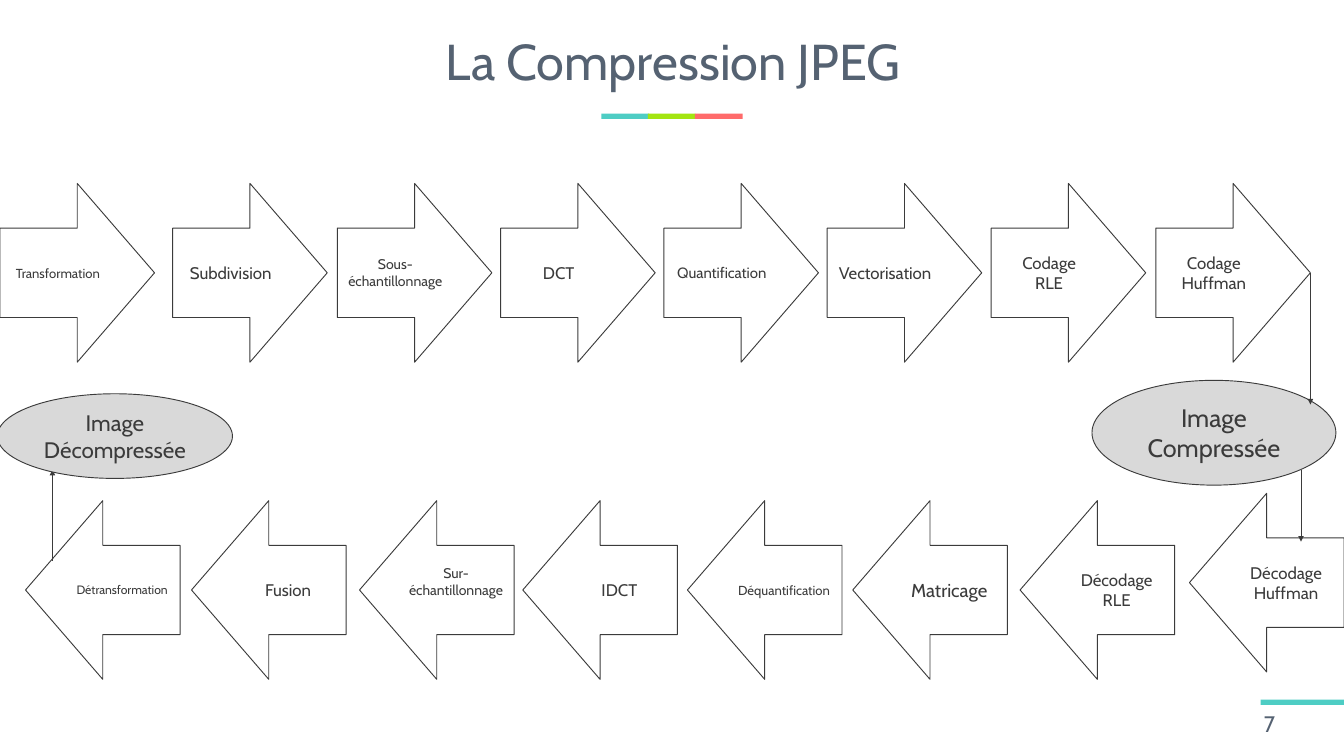
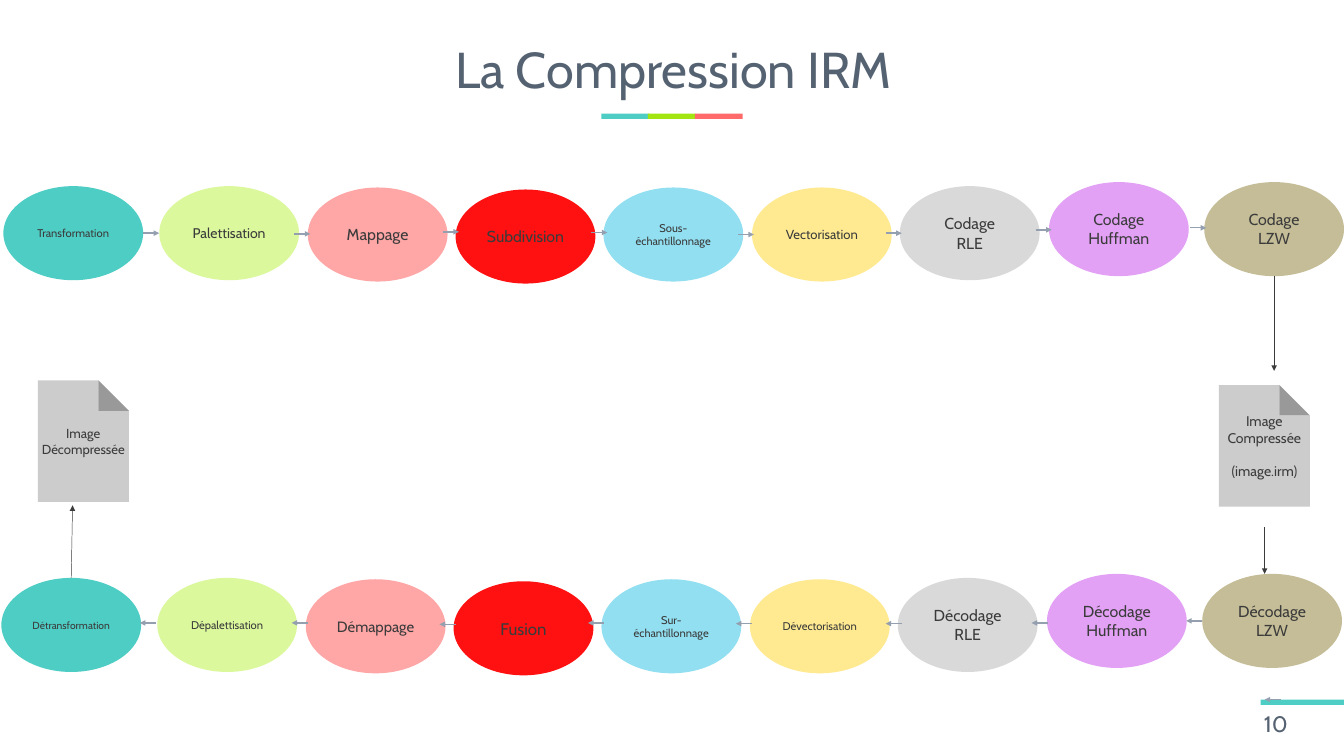
from lxml import etree
from pptx import Presentation
from pptx.dml.color import RGBColor
from pptx.enum.shapes import MSO_CONNECTOR, MSO_SHAPE
from pptx.enum.text import MSO_ANCHOR, MSO_AUTO_SIZE, PP_ALIGN
from pptx.oxml.ns import qn
from pptx.util import Inches, Pt

RECT = MSO_SHAPE.RECTANGLE
OVAL = MSO_SHAPE.OVAL
RIGHT_ARROW = MSO_SHAPE.RIGHT_ARROW
LEFT_ARROW = MSO_SHAPE.LEFT_ARROW
DOCUMENT = MSO_SHAPE.ACTION_BUTTON_DOCUMENT
STRAIGHT = MSO_CONNECTOR.STRAIGHT
MIDDLE = MSO_ANCHOR.MIDDLE
NO_FIT = MSO_AUTO_SIZE.NONE
LEFT, CENTER = PP_ALIGN.LEFT, PP_ALIGN.CENTER

WHITE = RGBColor(0xFF, 0xFF, 0xFF)
INK = RGBColor(0x3B, 0x3B, 0x3B)
SLATE = RGBColor(0x55, 0x62, 0x72)
STEEL = RGBColor(0x94, 0xA0, 0xAF)
TEAL = RGBColor(0x4E, 0xCD, 0xC4)
GREEN = RGBColor(0xA3, 0xE5, 0x11)
CORAL = RGBColor(0xFF, 0x6B, 0x6B)
LIME = RGBColor(0xDB, 0xF8, 0x9D)
PINK = RGBColor(0xFF, 0xA6, 0xA6)
RED = RGBColor(0xFF, 0x11, 0x11)
SKY = RGBColor(0x91, 0xDF, 0xF1)
YELLOW = RGBColor(0xFF, 0xEA, 0x91)
GREY = RGBColor(0xD9, 0xD9, 0xD9)
VIOLET = RGBColor(0xE3, 0xA1, 0xF5)
KHAKI = RGBColor(0xC4, 0xBD, 0x97)

BARS = [(8.95, 1.69, 0.71, TEAL), (9.64, 1.69, 0.71, GREEN),
        (10.34, 1.69, 0.71, CORAL), (18.76, 10.41, 1.24, TEAL)]

JPEG_ENCODING = [
    (0, "Transformation", 14), (2.57, "Subdivision", 18),
    (5.02, "Sous-échantillonnage", 15), (7.45, "DCT", 18),
    (9.88, "Quantification", 16), (12.31, "Vectorisation", 18),
    (14.75, "Codage\nRLE", 18), (17.2, "Codage\nHuffman", 18)]
JPEG_DECODING = [
    (0.38, 7.45, "Détransformation", 13), (2.85, 7.45, "Fusion", 18),
    (5.35, 7.45, "Sur-échantillonnage", 15), (7.78, 7.45, "IDCT", 18),
    (10.23, 7.45, "Déquantification", 14), (12.69, 7.45, "Matricage", 20),
    (15.18, 7.45, "Décodage RLE", 18), (17.7, 7.34, "Décodage Huffman", 18)]

IRM_STAGES = [
    (0.05, 2.77, TEAL, "Transformation", 12, "Détransformation", 11),
    (2.37, 2.77, LIME, "Palettisation", 15, "Dépalettisation", 12),
    (4.58, 2.79, PINK, "Mappage", 17, "Démappage", 16),
    (6.78, 2.82, RED, "Subdivision", 17, "Fusion", 18),
    (8.98, 2.79, SKY, "Sous-échantillonnage", 12, "Sur-échantillonnage", 12),
    (11.19, 2.79, YELLOW, "Vectorisation", 14, "Dévectorisation", 12),
    (13.39, 2.77, GREY, "Codage\nRLE", 17, "Décodage RLE", 17),
    (15.61, 2.71, VIOLET, "Codage\nHuffman", 17, "Décodage Huffman", 17),
    (17.92, 2.71, KHAKI, "Codage\nLZW", 17, "Décodage LZW", 17)]
IRM_FORWARD = [(2.13, 3.47), (4.38, 3.48), (6.59, 3.45), (8.8, 3.46),
               (10.98, 3.49), (13.18, 3.47), (15.41, 3.42), (17.71, 3.39)]
IRM_BACKWARD = [(2.32, 9.27), (4.58, 9.27), (6.78, 9.29), (8.99, 9.27),
                (11.19, 9.28), (13.42, 9.28), (15.59, 9.27), (17.89, 9.24),
                (19.06, 10.41)]
ROW_SHIFT = (-0.03, 5.83)
ARROW_SIZE = (2.3, 2.66)
OVAL_SIZE = (2.08, 1.4)
STEP = 0.24


class Deck:
    font = "Cabin"
    frame = {"word_wrap": True, "auto_size": NO_FIT, "vertical_anchor": MIDDLE}

    def __init__(self):
        self.prs = Presentation()
        self.prs.slide_width, self.prs.slide_height = Inches(20), Inches(11.25)
        self.s = None

    def new_slide(self, title, title_top, number):
        self.s = self.prs.slides.add_slide(self.prs.slide_layouts[5])
        for x, y, w, color in BARS:
            self.shape(RECT, (x, y, w, 0.08), color)
        sp = self.s.shapes.title
        box = {"left": 0.54, "top": title_top, "width": 18.96, "height": 1.4}
        for name, value in box.items():
            setattr(sp, name, Inches(value))
        self.set_text(sp.text_frame, title, 54, SLATE, CENTER)
        sp.text_frame.paragraphs[0].line_spacing = 0.9
        sp = self.s.shapes.add_textbox(*map(Inches, (18.71, 10.5, 1.29, 0.53)))
        self.set_text(sp.text_frame, number, 24, SLATE, LEFT)

    def set_text(self, tf, text, size, color, align):
        tf.text = text
        for name, value in self.frame.items():
            setattr(tf, name, value)
        style = {"name": self.font, "size": Pt(size)}
        for p in tf.paragraphs:
            p.alignment = align
            for r in p.runs:
                for name, value in style.items():
                    setattr(r.font, name, value)
                r.font.color.rgb = color

    def shape(self, kind, box, fill, text="", size=18, outline=False):
        sp = self.s.shapes.add_shape(kind, *map(Inches, box))
        sp.shadow.inherit = False
        sp.fill.solid()
        sp.fill.fore_color.rgb = fill
        if outline:
            sp.line.color.rgb = INK
            sp.line.width = Pt(1)
        else:
            sp.line.fill.background()
        if text:
            self.set_text(sp.text_frame, text, size, INK, CENTER)
        return sp

    def arrow(self, start, end, color=INK, width=0.5):
        cx = self.s.shapes.add_connector(STRAIGHT, *map(Inches, start + end))
        cx.line.color.rgb = color
        cx.line.width = Pt(width)
        ln = cx._element.spPr.find(qn("a:ln"))
        etree.SubElement(ln, qn("a:tailEnd"), type="triangle")
        etree.SubElement(cx._element.spPr, qn("a:effectLst"))
        return cx


def build_jpeg(deck):
    deck.new_slide("La Compression JPEG", 0.25, "7")
    for x, text, size in JPEG_ENCODING:
        deck.shape(RIGHT_ARROW, (x, 2.73, *ARROW_SIZE), WHITE, text, size, True)
    for x, y, text, size in JPEG_DECODING:
        sp = deck.shape(LEFT_ARROW, (x, y, *ARROW_SIZE), WHITE, text, size, True)
        if text.startswith("Sur-"):
            sp.text_frame.margin_bottom = Inches(0.3)
    deck.shape(OVAL, (16.25, 5.66, 3.63, 1.56), GREY, "Image Compressée", 27, True)
    deck.arrow((19.5, 4.06), (19.5, 6.02))
    deck.arrow((19.36, 6.99), (19.36, 8.06))
    deck.arrow((0.78, 8.35), (0.78, 6.99))
    deck.shape(OVAL, (-0.04, 5.86, 3.5, 1.26), GREY, "Image Décompressée", 24, True)


def build_irm(deck):
    deck.new_slide("La Compression IRM", 0.38, "10")
    sp = deck.shape(DOCUMENT, (17.48, 5.43, 2.67, 2.41), WHITE,
                    "Image\nCompressée\n(image.irm)", 15)
    sp.text_frame.paragraphs[2].space_before = Pt(18)
    dx, dy = ROW_SHIFT
    decoders = []
    for x, y, color, coding, size, decoding, decoding_size in IRM_STAGES:
        deck.shape(OVAL, (x, y, *OVAL_SIZE), color, coding, size)
        decoders.append(deck.shape(OVAL, (x + dx, y + dy, *OVAL_SIZE), color,
                                   decoding, decoding_size))
    for starts, step in ((IRM_FORWARD, STEP), (IRM_BACKWARD, -STEP)):
        for x, y in starts:
            deck.arrow((x, y), (x + step, y), STEEL, 1.5)
    deck.arrow((18.96, 4.11), (18.96, 5.52))
    deck.arrow((18.82, 7.84), (18.82, 8.54))
    deck.shape(DOCUMENT, (0, 5.36, 2.48, 2.41), WHITE, "Image\nDécompressée", 14)
    cx = deck.arrow((1.06, 8.6), (1.08, 7.52))
    cx.begin_connect(decoders[0], 0)


def main():
    deck = Deck()
    build_jpeg(deck)
    build_irm(deck)
    deck.prs.save("out.pptx")


if __name__ == "__main__":
    main()
